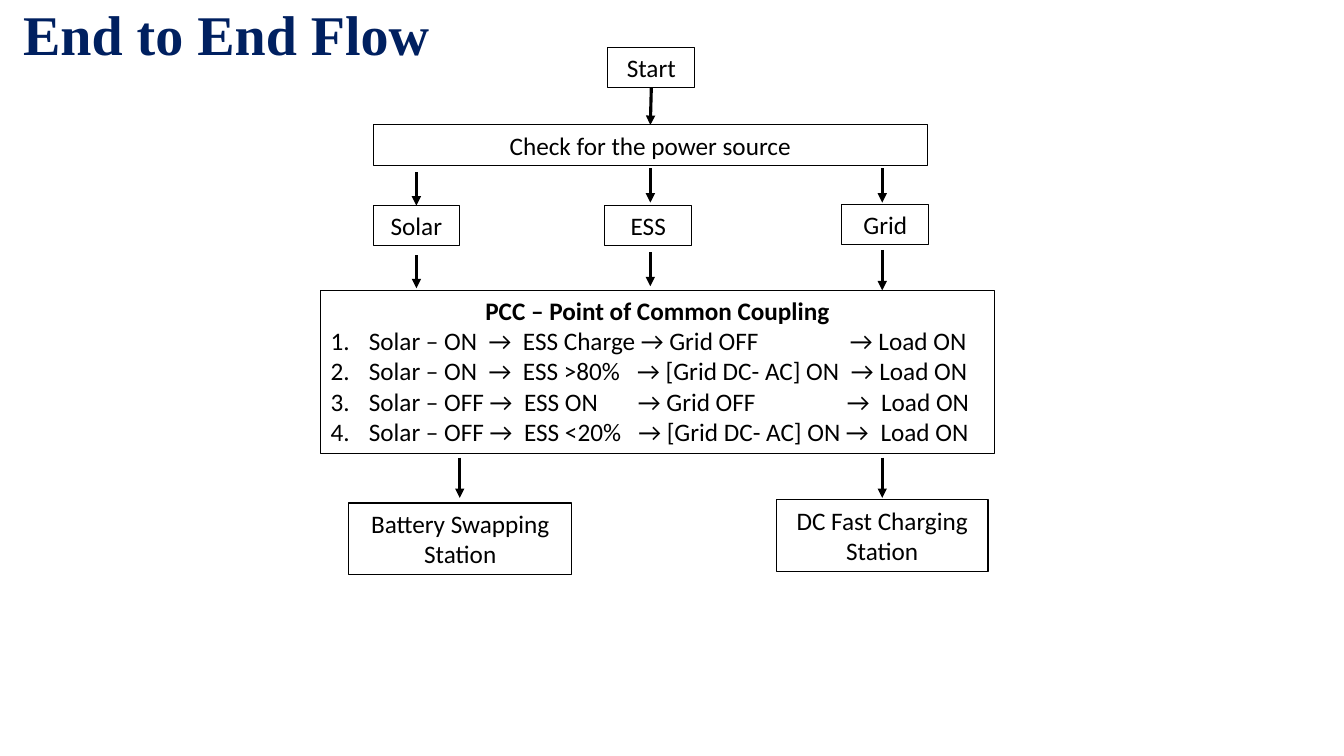
from pptx import Presentation
from pptx.dml.color import RGBColor
from pptx.enum.shapes import MSO_CONNECTOR as Line, MSO_SHAPE as Shape
from pptx.enum.text import MSO_ANCHOR as Anchor, PP_ALIGN as Align
from pptx.oxml.ns import qn
from pptx.util import Inches, Pt
from lxml.etree import SubElement

BLACK = RGBColor(0, 0, 0)
NAVY = RGBColor(0x00, 0x20, 0x60)
TITLE = "End to End Flow"
SPACE = 407  # width of a space at 18 pt, in hundredths of a point

# Name: (left, top, width, height, text), in inches
BOXES = {
    "start": (6.03, 0.47, 0.86, 0.4, "Start"),
    "check": (3.7, 1.24, 5.5, 0.4, "Check for the power source"),
    "solar": (3.7, 2.04, 0.86, 0.4, "Solar"),
    "ess": (6, 2.04, 0.86, 0.4, "ESS"),
    "grid": (8.35, 2.03, 0.86, 0.4, "Grid"),
    "pcc": (3.18, 2.88, 6.68, 1.62, "PCC – Point of Common Coupling"),
    "swap": (3.46, 4.99, 2.21, 0.71, "Battery Swapping Station"),
    "fast": (7.7, 4.96, 2.1, 0.71, "DC Fast Charging Station"),
}

# Each mode alternates text with the width of the gap after it, in spaces
MODES = [
    ("Solar – ON", 2, "→", 2, "ESS Charge → Grid OFF", 16, "→ Load ON"),
    ("Solar – ON", 2, "→", 2, "ESS >80%", 3, "→ [Grid DC- AC] ON", 2, "→ Load ON"),
    ("Solar – OFF →", 2, "ESS ON", 7, "→ Grid OFF", 16, "→", 2, "Load ON"),
    ("Solar – OFF →", 2, "ESS <20%", 3, "→ [Grid DC- AC] ON →", 2, "Load ON"),
]

# x, top, bottom, box joined at the tail, box joined at the head
LEFT, MID, RIGHT = 4.13, 6.45, 8.75
ARROWS = [
    (MID, 0.88, 1.24, "start", "check"),
    (LEFT, 1.71, 2.04, None, "solar"),
    (MID, 1.67, 2.01, None, None),
    (RIGHT, 1.67, 2.01, None, None),
    (LEFT, 2.53, 2.86, None, None),
    (MID, 2.5, 2.84, None, None),
    (RIGHT, 2.48, 2.88, None, None),
    (4.56, 4.54, 4.94, None, None),
    (RIGHT, 4.54, 4.94, None, None),
]


def style(font, size, name, color, bold=False):
    font.size, font.name, font.bold = Pt(size), name, bold
    font.color.rgb = color


def add_box(slide, left, top, width, height, text):
    box = slide.shapes.add_shape(
        Shape.RECTANGLE, *map(Inches, (left, top, width, height)))
    box.shadow.inherit = False
    box.fill.background()
    box.line.color.rgb = BLACK
    box.line.width = Pt(0.75)
    frame = box.text_frame
    frame.word_wrap = True
    frame.vertical_anchor = Anchor.TOP
    frame.text = text
    para = frame.paragraphs[0]
    para.alignment = Align.CENTER
    style(para.runs[0].font, 18, "Calibri", BLACK)
    return box


def add_mode(frame, mode):
    """Add a numbered line whose gaps are single spaces, letter-spaced wider."""
    para = frame.add_paragraph()
    para.alignment = Align.LEFT
    props = para._p.get_or_add_pPr()
    props.set("marL", str(Inches(0.38)))
    props.set("indent", str(-Inches(0.38)))
    SubElement(props, qn("a:buFont"), typeface="+mj-lt")
    SubElement(props, qn("a:buAutoNum"), type="arabicPeriod")
    for part in mode:
        run = para.add_run()
        gap = isinstance(part, int)
        run.text = " " if gap else part
        style(run.font, 18, "Calibri", BLACK)
        if gap:
            run._r.get_or_add_rPr().set("spc", str((part - 1) * SPACE))


def add_arrow(slide, boxes, x, top, bottom, tail, head):
    arrow = slide.shapes.add_connector(
        Line.STRAIGHT, *map(Inches, (x, top, x, bottom)))
    if tail:
        arrow.begin_connect(boxes[tail], 2)
    if head:
        arrow.end_connect(boxes[head], 0)
    arrow.line.color.rgb = BLACK
    arrow.line.width = Pt(2.25)
    SubElement(arrow.line._get_or_add_ln(), qn("a:tailEnd"), type="triangle")
    SubElement(arrow._element.spPr, qn("a:effectLst"))


def add_title(slide):
    title = slide.shapes.title
    title.left, title.top = Inches(0.13), 0
    title.width, title.height = Inches(11.5), Inches(0.74)
    frame = title.text_frame
    frame.text = TITLE
    frame.vertical_anchor = Anchor.MIDDLE
    para = frame.paragraphs[0]
    para.alignment = Align.LEFT
    para.line_spacing = 0.9
    style(para.runs[0].font, 40, "Times New Roman", NAVY, True)


def main():
    deck = Presentation()
    deck.slide_width, deck.slide_height = Inches(13.33), Inches(7.5)
    slide = deck.slides.add_slide(deck.slide_layouts[5])
    add_title(slide)
    boxes = {name: add_box(slide, *box) for name, box in BOXES.items()}
    frame = boxes["pcc"].text_frame
    frame.paragraphs[0].runs[0].font.bold = True
    for mode in MODES:
        add_mode(frame, mode)
    for arrow in ARROWS:
        add_arrow(slide, boxes, *arrow)
    deck.save("out.pptx")


if __name__ == "__main__":
    main()
